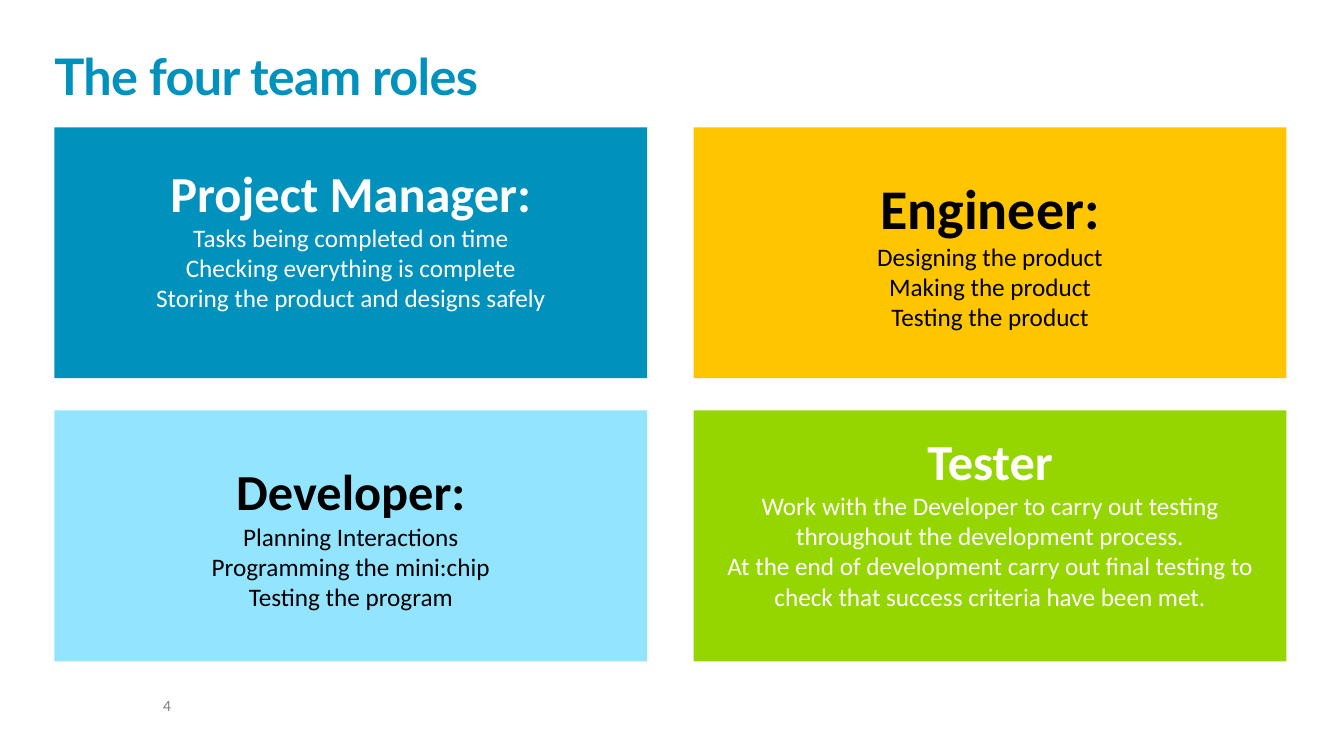
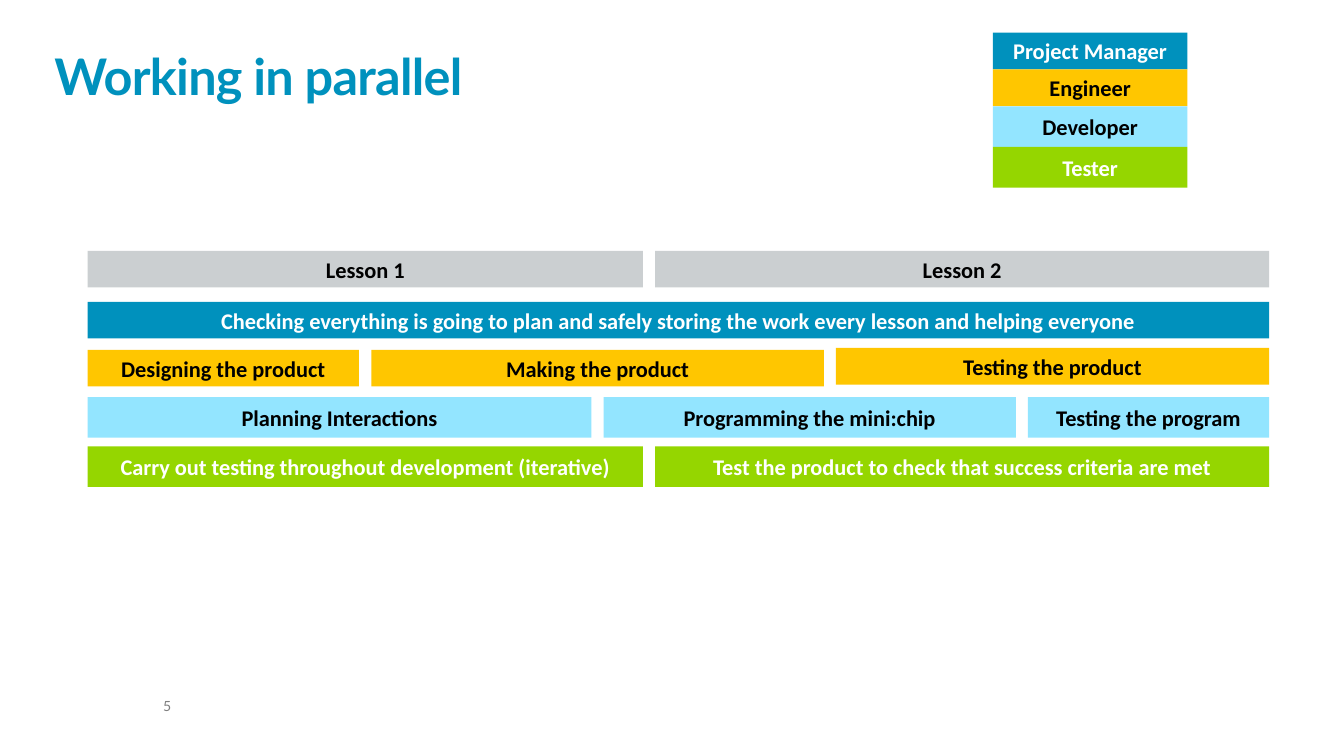
from pptx import Presentation
from pptx.dml.color import RGBColor
from pptx.enum.shapes import MSO_SHAPE
from pptx.enum.text import MSO_ANCHOR, MSO_AUTO_SIZE, PP_ALIGN
from pptx.util import Pt

BLUE, GOLD, SKY, LIME = "0091BD", "FFC600", "93E5FF", "95D600"
GREY, BLACK, WHITE, DIM = "CBCFD1", "000000", "FFFFFF", "7F7F7F"
INK = {BLUE: WHITE, GOLD: BLACK, SKY: BLACK, LIME: WHITE, GREY: BLACK}
EDGE, GAP = 62.6, 8.7


def paint(part, code):
    part.rgb = RGBColor.from_string(code)


def place(shape, left, top, width, height):
    shape.left, shape.top = Pt(left), Pt(top)
    shape.width, shape.height = Pt(width), Pt(height)


def write(para, text, size, color, font="Calibri", bold=False):
    run = para.add_run()
    run.text = text
    run.font.name, run.font.size, run.font.bold = font, Pt(size), bold
    paint(run.font.color, color)
    return run


def strip(frame):
    frame.margin_left = frame.margin_right = Pt(0)
    frame.margin_top = frame.margin_bottom = Pt(0)
    frame.word_wrap = True


def start(deck, title, number):
    slide = deck.slides.add_slide(deck.slide_layouts[5])
    head = slide.shapes.title
    place(head, 38.9, 23, 880.6, 52.6)
    frame = head.text_frame
    strip(frame)
    frame.auto_size = MSO_AUTO_SIZE.NONE
    frame.vertical_anchor = MSO_ANCHOR.BOTTOM
    para = frame.paragraphs[0]
    para.alignment, para.line_spacing = PP_ALIGN.LEFT, 0.85
    run = write(para, title, 36, BLUE, "Lato", True)
    run._r.get_or_add_rPr().set("spc", "-50")

    foot = slide.shapes.add_textbox(Pt(116.6), Pt(499.7), Pt(85.7), Pt(10.8))
    strip(foot.text_frame)
    para = foot.text_frame.paragraphs[0]
    para.line_spacing = 0.9
    write(para, number, 10, DIM, "Lato")
    return slide


def block(slide, left, top, width, height, fill, lines, base=3.6):
    shape = slide.shapes.add_shape(
        MSO_SHAPE.RECTANGLE, Pt(left), Pt(top), Pt(width), Pt(height))
    shape.shadow.inherit = False
    shape.fill.solid()
    paint(shape.fill.fore_color, fill)
    shape.line.fill.background()
    frame = shape.text_frame
    frame.word_wrap = True
    frame.vertical_anchor = MSO_ANCHOR.MIDDLE
    frame.margin_bottom = Pt(base)
    for i, (text, size, bold) in enumerate(lines):
        para = frame.add_paragraph() if i else frame.paragraphs[0]
        para.alignment = PP_ALIGN.CENTER
        write(para, text, size, INK[fill], bold=bold)


def card(slide, col, row, fill, name, size, tasks, base=3.6):
    lines = [(name, size, True)] + [(task, 18, False) for task in tasks]
    block(slide, 38.9 + col * 456.6, 90.9 + row * 202.3, 423.4, 179.3,
          fill, lines, base)


def band(slide, left, top, height, fill, cells):
    for text, width in cells:
        block(slide, left, top, width, height, fill, [(text, 16, True)])
        left += width + GAP


def roles(deck):
    slide = start(deck, "The four team roles", "4")
    card(slide, 0, 0, BLUE, "Project Manager:", 36, [
        "Tasks being completed on time",
        "Checking everything is complete",
        "Storing the product and designs safely"], 25.6)
    card(slide, 0, 1, SKY, "Developer:", 36, [
        "Planning Interactions",
        "Programming the mini:chip",
        "Testing the program"])
    card(slide, 1, 0, GOLD, "Engineer:", 40, [
        "Designing the product",
        "Making the product",
        "Testing the product"])
    card(slide, 1, 1, LIME, "Tester", 36, [
        "Work with the Developer to carry out testing "
        "throughout the development process.",
        "At the end of development carry out final testing to "
        "check that success criteria have been met."], 25.6)


def plan(deck):
    slide = start(deck, "Working in parallel", "5")
    top = 23.3
    for name, fill, height in [
            ("Project Manager", BLUE, 26.3), ("Engineer", GOLD, 26.3),
            ("Developer", SKY, 29.1), ("Tester", LIME, 29.1)]:
        band(slide, 709.2, top, height, fill, [(name, 139)])
        top += height

    rows = [
        (EDGE, 179.2, 26.2, GREY, [("Lesson 1", 396.7), ("Lesson 2", 438.5)]),
        (EDGE, 215.6, 26.2, BLUE, [
            ("Checking everything is going to plan and safely storing "
             "the work every lesson and helping everyone", 843.9)]),
        (EDGE, 249.9, 26.2, GOLD, [
            ("Designing the product", 193.9), ("Making the product", 323.3)]),
        (597.1, 248.6, 26.2, GOLD, [("Testing the product", 309.4)]),
        (EDGE, 283.7, 28.9, SKY, [
            ("Planning Interactions", 359.8),
            ("Programming the mini:chip", 294.5),
            ("Testing the program", 172.2)]),
        (EDGE, 318.9, 28.9, LIME, [
            ("Carry out testing throughout development (iterative)", 396.7),
            ("Test the product to check that success criteria are met",
             438.5)]),
    ]
    for row in rows:
        band(slide, *row)


def main():
    deck = Presentation()
    deck.slide_width, deck.slide_height = Pt(960), Pt(540)
    roles(deck)
    plan(deck)
    deck.save("out.pptx")


if __name__ == "__main__":
    main()
